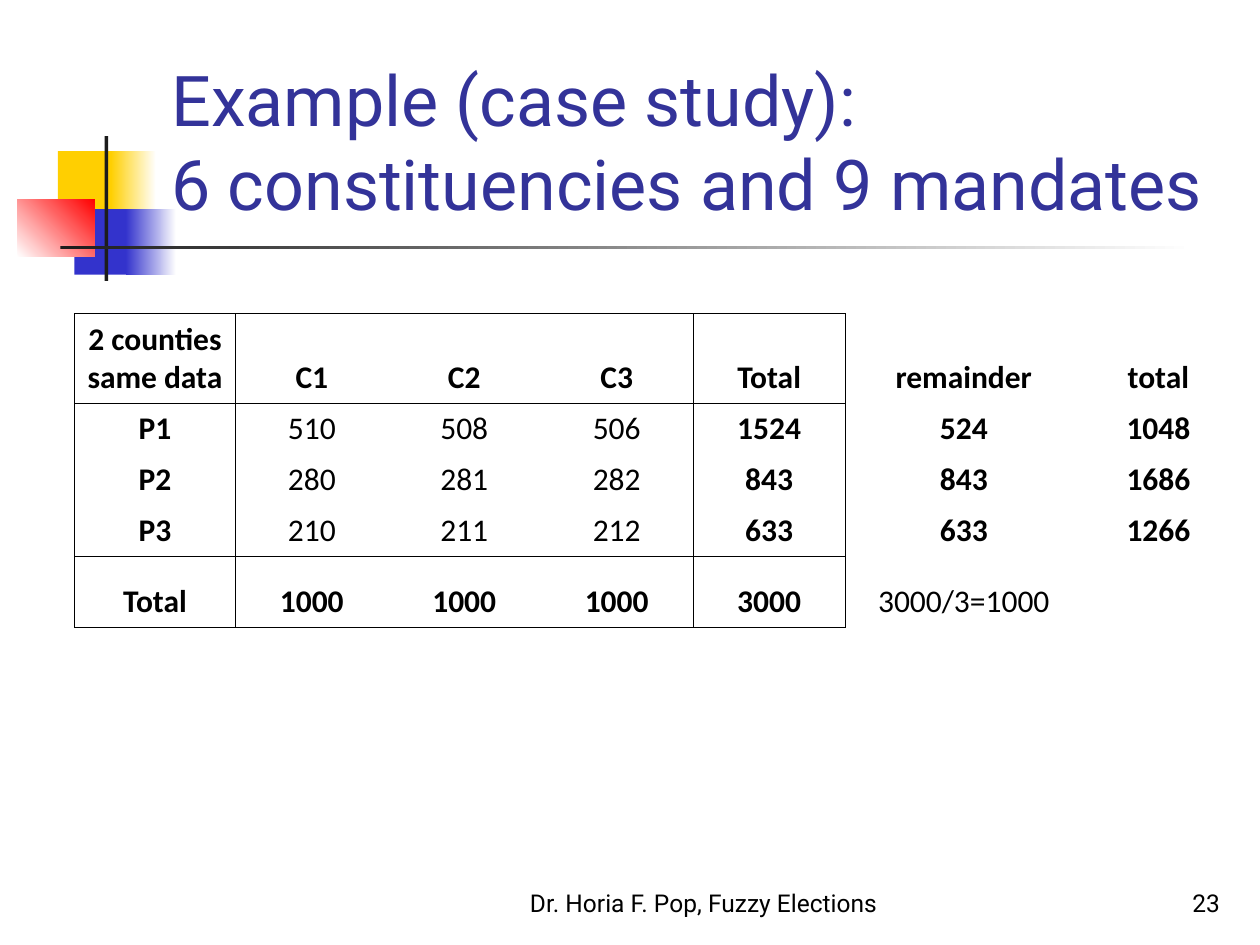
from lxml.etree import SubElement
from pptx import Presentation
from pptx.dml.color import RGBColor
from pptx.enum.shapes import MSO_SHAPE
from pptx.enum.text import MSO_ANCHOR, MSO_AUTO_SIZE, PP_ALIGN
from pptx.oxml.ns import qn
from pptx.util import Inches, Pt

BLACK = RGBColor(0x00, 0x00, 0x00)
WHITE = RGBColor(0xFF, 0xFF, 0xFF)
CHARCOAL = RGBColor(0x1C, 0x1C, 0x1C)
YELLOW = RGBColor(0xFF, 0xCF, 0x01)
BLUE = RGBColor(0x33, 0x33, 0xCC)
RED = RGBColor(0xFF, 0x00, 0x00)
INDIGO = RGBColor(0x33, 0x33, 0x99)

DECORATIONS = [
    (0.46, 1.2, 0.48, 0.52, [YELLOW], 0),
    (0.88, 1.2, 0.36, 0.52, [YELLOW, WHITE], 0),
    (0.59, 1.66, 0.46, 0.52, [BLUE], 0),
    (1, 1.66, 0.4, 0.52, [BLUE, WHITE], 0),
    (0.14, 1.58, 0.61, 0.46, [WHITE, RED], 45),
    (0.83, 1.08, 0.03, 1.15, [CHARCOAL], 0),
    (0.48, 1.95, 9, 0.03, [CHARCOAL, WHITE], 0),
]

VOTES = [
    ["2 counties\nsame data", "C1", "C2", "C3", "Total", "remainder", "total"],
    ["P1", "510", "508", "506", "1524", "524", "1048"],
    ["P2", "280", "281", "282", "843", "843", "1686"],
    ["P3", "210", "211", "212", "633", "633", "1266"],
    ["Total", "1000", "1000", "1000", "3000", "3000/3=1000", ""],
]
COLUMN_WIDTHS = [1.28, 1.21, 1.21, 1.21, 1.21, 1.88, 1.21]
ROW_HEIGHTS = [0.7, 0.4, 0.4, 0.4, 0.56]
RULED_EDGES = {0, 1, 4, 5}
FRAMED_COLUMNS = 5


def format_text(frame, font_name, size, color, align, bold=False):
    for para in frame.paragraphs:
        para.alignment = align
        for span in para.runs:
            span.font.name = font_name
            span.font.size = Pt(size)
            span.font.bold = bold
            span.font.color.rgb = color


def add_decoration(page, left, top, width, height, colors, angle):
    block = page.shapes.add_shape(MSO_SHAPE.RECTANGLE, Inches(left), Inches(top),
                                  Inches(width), Inches(height))
    block.shadow.inherit = False
    block.line.fill.background()
    if len(colors) == 1:
        block.fill.solid()
        block.fill.fore_color.rgb = colors[0]
        return
    block.fill.gradient()
    block.fill.gradient_angle = angle
    for stop, color in zip(block.fill.gradient_stops, colors):
        stop.color.rgb = color


def add_footer(page, text, left, width, align):
    box = page.shapes.add_textbox(Inches(left), Inches(6.83), Inches(width), Inches(0.5))
    frame = box.text_frame
    frame.word_wrap = True
    frame.vertical_anchor = MSO_ANCHOR.BOTTOM
    frame.text = text
    format_text(frame, "Roboto", 14, BLACK, align)


def set_title(page, text):
    title = page.shapes.title
    title.element.getparent().append(title.element)
    title.left, title.top = Inches(1.26), Inches(0.23)
    title.width, title.height = Inches(8.52), Inches(1.6)
    frame = title.text_frame
    frame.text = text
    frame.auto_size = MSO_AUTO_SIZE.NONE
    frame.vertical_anchor = MSO_ANCHOR.BOTTOM
    format_text(frame, "Roboto", 40, INDIGO, PP_ALIGN.LEFT)


def draw_borders(cell, row, column):
    framed = column < FRAMED_COLUMNS
    sides = {
        "a:lnL": column in RULED_EDGES,
        "a:lnR": column + 1 in RULED_EDGES,
        "a:lnT": framed and row in RULED_EDGES,
        "a:lnB": framed and row + 1 in RULED_EDGES,
    }
    properties = cell._tc.get_or_add_tcPr()
    for tag, ruled in sides.items():
        line = SubElement(properties, qn(tag), w=str(Pt(0.45)))
        if ruled:
            fill = SubElement(line, qn("a:solidFill"))
            SubElement(fill, qn("a:srgbClr"), val=str(BLACK))
        else:
            SubElement(line, qn("a:noFill"))


def add_votes_table(page):
    table = page.shapes.add_table(
        len(VOTES), len(COLUMN_WIDTHS), Inches(0.59), Inches(2.49),
        Inches(sum(COLUMN_WIDTHS)), Inches(sum(ROW_HEIGHTS))).table
    table.first_row = table.horz_banding = False
    for column, width in zip(table.columns, COLUMN_WIDTHS):
        column.width = Inches(width)
    for row, height in zip(table.rows, ROW_HEIGHTS):
        row.height = Inches(height)
    for row, values in enumerate(VOTES):
        for column, value in enumerate(values):
            cell = table.cell(row, column)
            cell.text = value
            cell.vertical_anchor = MSO_ANCHOR.BOTTOM
            draw_borders(cell, row, column)
            cell.fill.background()
            inner = 1 <= row <= 3 and 1 <= column <= 3
            bold = not inner and "=" not in value
            format_text(cell.text_frame, "Calibri", 18, BLACK, PP_ALIGN.CENTER, bold)


def main():
    deck = Presentation()
    deck.slide_width, deck.slide_height = Inches(10), Inches(7.5)
    page = deck.slides.add_slide(deck.slide_layouts[5])
    for decoration in DECORATIONS:
        add_decoration(page, *decoration)
    add_footer(page, "Dr. Horia F. Pop, Fuzzy Elections", 4, 3.17, PP_ALIGN.CENTER)
    add_footer(page, "23", 7.7, 2.08, PP_ALIGN.RIGHT)
    set_title(page, "Example (case study):\v6 constituencies and 9 mandates")
    add_votes_table(page)
    deck.save("out.pptx")


if __name__ == "__main__":
    main()
